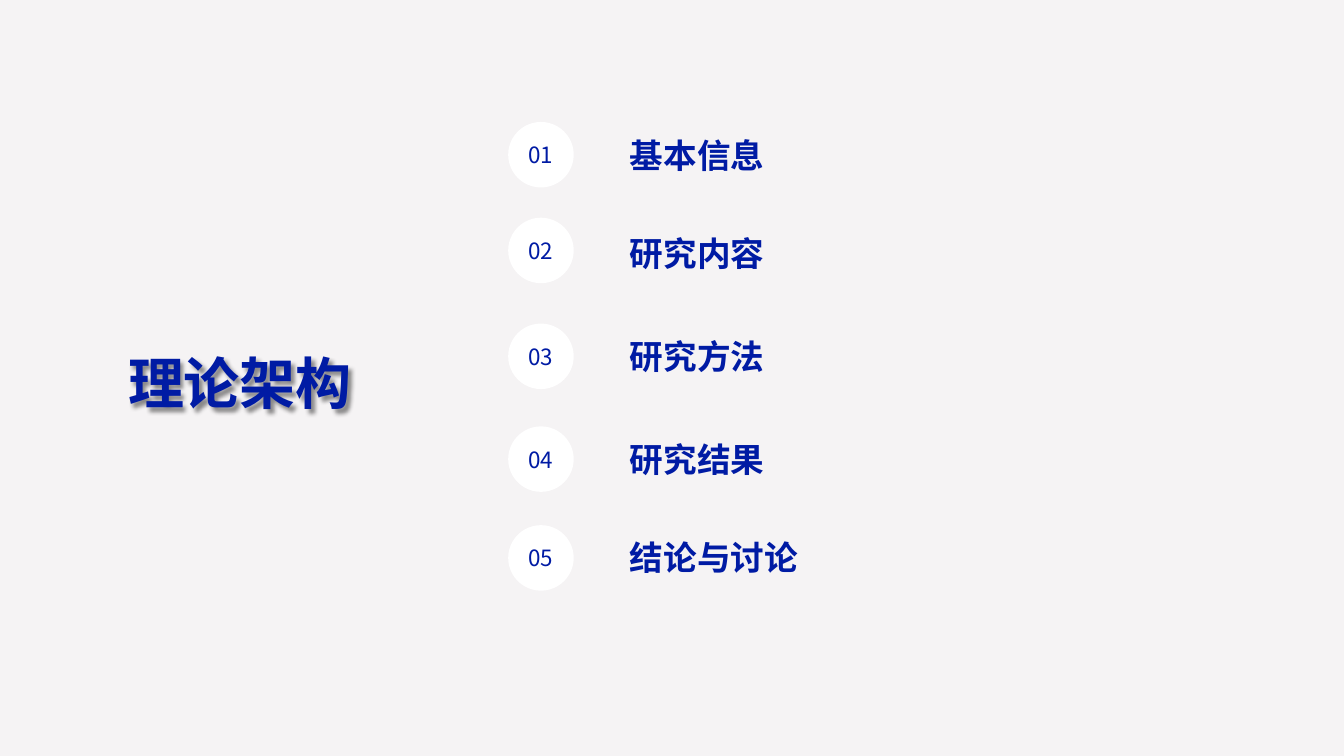
from lxml import etree
from pptx import Presentation
from pptx.dml.color import RGBColor
from pptx.enum.shapes import MSO_SHAPE
from pptx.enum.text import MSO_ANCHOR, MSO_AUTO_SIZE, PP_ALIGN
from pptx.oxml import parse_xml
from pptx.oxml.ns import qn
from pptx.util import Inches, Pt

OVAL = MSO_SHAPE.OVAL
MIDDLE = MSO_ANCHOR.MIDDLE
LEFT, CENTER = PP_ALIGN.LEFT, PP_ALIGN.CENTER
FONT = "Noto Sans CJK SC"
BLUE, WHITE, GRAY = "001BA4", "FFFFFF", "F5F3F4"
SHADOW = (
    '<a:effectLst xmlns:a="http://schemas.openxmlformats.org/drawingml/2006/main">'
    '<a:outerShdw blurRad="38100" dist="38100" dir="2700000" algn="tl">'
    '<a:srgbClr val="000000"><a:alpha val="43000"/></a:srgbClr>'
    '</a:outerShdw></a:effectLst>'
)

# Label, circle top, label top, label width, label height (inches)
ITEMS = [
    ("基本信息", 1.21, 1.37, 4.24, 0.34),
    ("研究内容", 2.16, 2.26, 4.24, 0.5),
    ("研究方法", 3.21, 3.2, 4.24, 0.67),
    ("研究结果", 4.23, 4.22, 4.24, 0.67),
    ("结论与讨论", 5.21, 5.2, 6, 0.65),
]
DOT_X, DOT, LABEL_X = 5.04, 0.65, 6.15


def color(code):
    return RGBColor.from_string(code)


def write(shape, text, size, bold, align):
    """Put one blue line of text, centred in height, into the shape."""
    frame = shape.text_frame
    frame.text = text
    frame.word_wrap = True
    frame.auto_size = MSO_AUTO_SIZE.NONE
    frame.vertical_anchor = MIDDLE
    para = frame.paragraphs[0]
    para.alignment = align
    font = para.font
    font.name, font.size, font.bold = FONT, Pt(size), bold
    font.color.rgb = color(BLUE)
    latin = para._p.find(".//" + qn("a:latin"))
    east = etree.Element(qn("a:ea"), typeface=FONT)
    latin.addnext(east)


deck = Presentation()
deck.slide_width, deck.slide_height = Inches(13.33), Inches(7.5)
slide = deck.slides.add_slide(deck.slide_layouts[5])
back = slide.background.fill
back.solid()
back.fore_color.rgb = color(GRAY)

title = slide.shapes.title
title.left, title.top = Inches(0.33), Inches(3.41)
title.width, title.height = Inches(4.1), Inches(0.77)
write(title, "理论架构", 40, True, CENTER)
title._element.spPr.append(parse_xml(SHADOW))

for num, (text, dot_y, label_y, wide, high) in enumerate(ITEMS, 1):
    group = slide.shapes.add_group_shape().shapes
    label = group.add_textbox(
        Inches(LABEL_X), Inches(label_y), Inches(wide), Inches(high))
    write(label, text, 24, True, LEFT)

    dot = group.add_shape(
        OVAL, Inches(DOT_X), Inches(dot_y), Inches(DOT), Inches(DOT))
    dot.shadow.inherit = False
    dot.fill.solid()
    dot.fill.fore_color.rgb = color(WHITE)
    dot.line.fill.background()
    write(dot, f"{num:02}", 16, False, CENTER)

deck.save("out.pptx")
